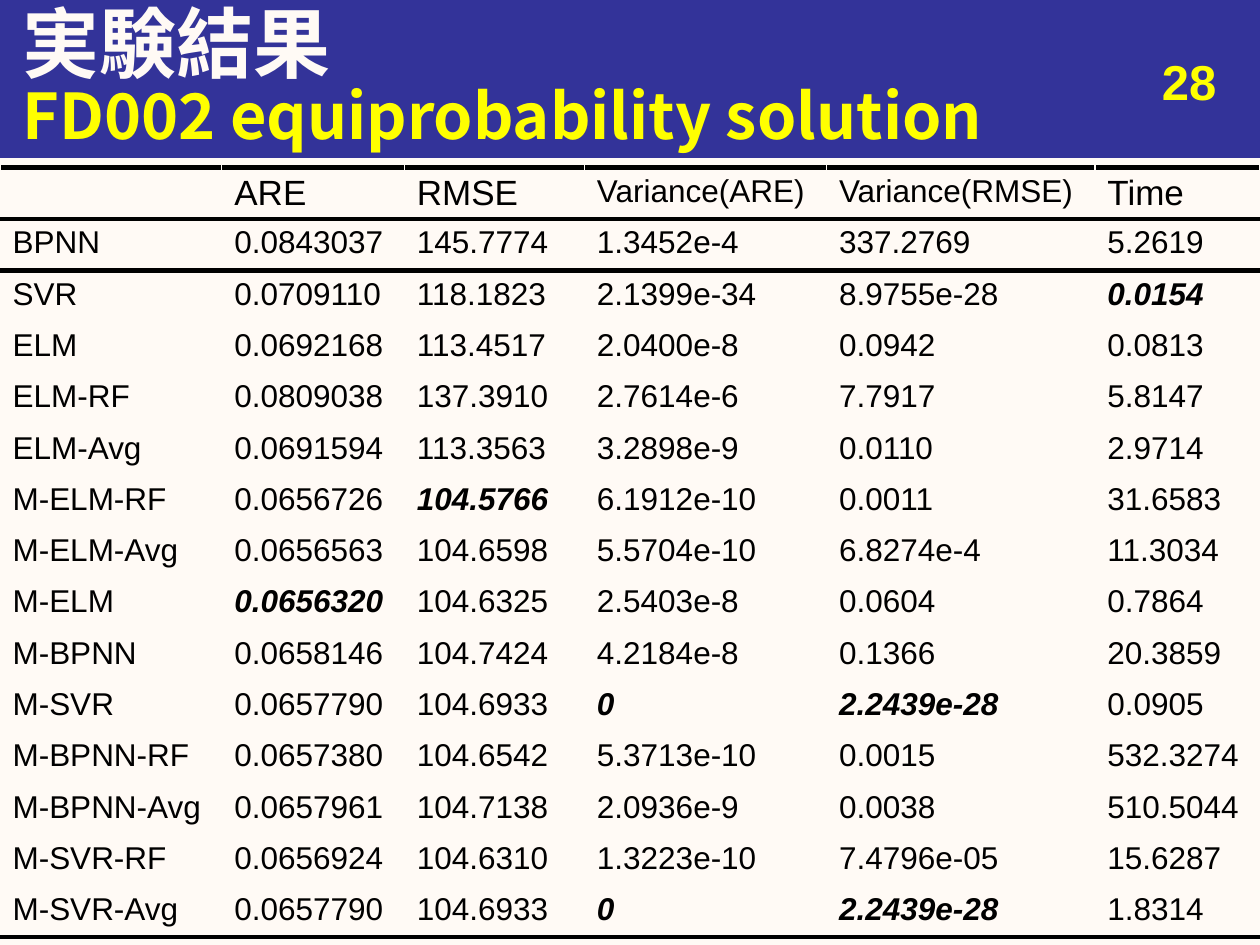
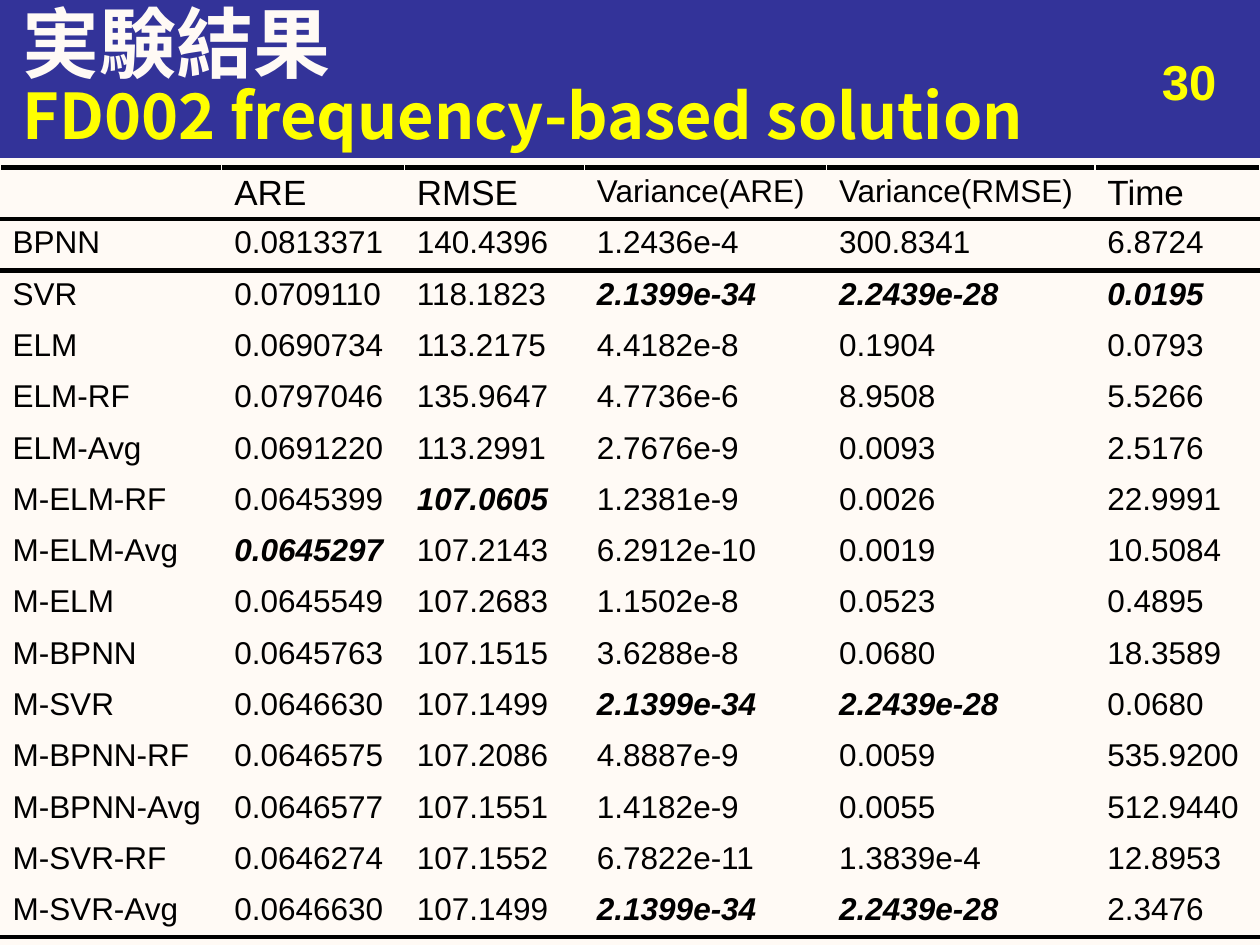
"""Build two result slides with a shared band, title style and ruled table."""
from lxml.etree import SubElement
from pptx import Presentation
from pptx.dml.color import RGBColor
from pptx.enum.shapes import MSO_SHAPE
from pptx.enum.text import MSO_ANCHOR, MSO_AUTO_SIZE, PP_ALIGN
from pptx.oxml.ns import qn
from pptx.util import Cm, Pt

CREAM, NAVY, YELLOW, BLACK = "FFFAF5", "333399", "FFFF00", "000000"
WIDTH = 25.4
COLS = [4.47, 3.68, 3.63, 4.88, 5.41, 3.33]
HEAD = ["", "ARE", "RMSE", "Variance(ARE)", "Variance(RMSE)", "Time"]

# A trailing * marks the best value of a column.
EQUAL = """
BPNN 0.0843037 145.7774 1.3452e-4 337.2769 5.2619
SVR 0.0709110 118.1823 2.1399e-34 8.9755e-28 0.0154*
ELM 0.0692168 113.4517 2.0400e-8 0.0942 0.0813
ELM-RF 0.0809038 137.3910 2.7614e-6 7.7917 5.8147
ELM-Avg 0.0691594 113.3563 3.2898e-9 0.0110 2.9714
M-ELM-RF 0.0656726 104.5766* 6.1912e-10 0.0011 31.6583
M-ELM-Avg 0.0656563 104.6598 5.5704e-10 6.8274e-4 11.3034
M-ELM 0.0656320* 104.6325 2.5403e-8 0.0604 0.7864
M-BPNN 0.0658146 104.7424 4.2184e-8 0.1366 20.3859
M-SVR 0.0657790 104.6933 0* 2.2439e-28* 0.0905
M-BPNN-RF 0.0657380 104.6542 5.3713e-10 0.0015 532.3274
M-BPNN-Avg 0.0657961 104.7138 2.0936e-9 0.0038 510.5044
M-SVR-RF 0.0656924 104.6310 1.3223e-10 7.4796e-05 15.6287
M-SVR-Avg 0.0657790 104.6933 0* 2.2439e-28* 1.8314
"""
FREQ = """
BPNN 0.0813371 140.4396 1.2436e-4 300.8341 6.8724
SVR 0.0709110 118.1823 2.1399e-34* 2.2439e-28* 0.0195*
ELM 0.0690734 113.2175 4.4182e-8 0.1904 0.0793
ELM-RF 0.0797046 135.9647 4.7736e-6 8.9508 5.5266
ELM-Avg 0.0691220 113.2991 2.7676e-9 0.0093 2.5176
M-ELM-RF 0.0645399 107.0605* 1.2381e-9 0.0026 22.9991
M-ELM-Avg 0.0645297* 107.2143 6.2912e-10 0.0019 10.5084
M-ELM 0.0645549 107.2683 1.1502e-8 0.0523 0.4895
M-BPNN 0.0645763 107.1515 3.6288e-8 0.0680 18.3589
M-SVR 0.0646630 107.1499 2.1399e-34* 2.2439e-28* 0.0680
M-BPNN-RF 0.0646575 107.2086 4.8887e-9 0.0059 535.9200
M-BPNN-Avg 0.0646577 107.1551 1.4182e-9 0.0055 512.9440
M-SVR-RF 0.0646274 107.1552 6.7822e-11 1.3839e-4 12.8953
M-SVR-Avg 0.0646630 107.1499 2.1399e-34* 2.2439e-28* 2.3476
"""


def color(code):
    return RGBColor.from_string(code)


def style(para, size, code, bold=False, italic=False, name="Arial"):
    font = para.font
    font.size, font.name = Pt(size), name
    font.bold, font.italic = bold, italic
    font.color.rgb = color(code)


def place(shape, left, top, width, height):
    shape.left, shape.top = Cm(left), Cm(top)
    shape.width, shape.height = Cm(width), Cm(height)


def add_band(deck, slide):
    """Put the background and the title band on the master."""
    master = deck.slide_master
    fill = master.background.fill
    fill.solid()
    fill.fore_color.rgb = color(CREAM)
    band = slide.shapes.add_shape(MSO_SHAPE.RECTANGLE, 0, 0, Cm(WIDTH), Cm(3.18))
    band.shadow.inherit = False
    band.fill.solid()
    band.fill.fore_color.rgb = color(NAVY)
    band.line.color.rgb = color(NAVY)
    band.line.width = Pt(0.75)
    master.shapes.element.insert(2, band.element)


def fill_holder(holder, text, box, size, code, name):
    place(holder, *box)
    frame = holder.text_frame
    frame.text = text
    frame.auto_size = MSO_AUTO_SIZE.NONE
    frame.vertical_anchor = MSO_ANCHOR.MIDDLE
    para = frame.paragraphs[0]
    para.alignment = PP_ALIGN.LEFT
    style(para, size, code, bold=True, name=name)
    return para


def add_heads(slide, topic):
    fill_holder(slide.shapes.title, "実験結果", (0.2, 0, 25.2, 1.7), 44, CREAM, "Arial")
    para = fill_holder(slide.placeholders[1], topic, (0.2, 1.5, 25.2, 1.6),
                       36, YELLOW, "Noto Sans CJK JP")
    props = para._p.get_or_add_pPr()
    props.set("marL", "0")
    props.set("indent", "0")
    props.insert_element_before(props.makeelement(qn("a:buNone")), "a:defRPr")


def add_page(slide, number):
    box = slide.shapes.add_textbox(Cm(18.85), Cm(0.91), Cm(5.92), Cm(1.32))
    box.text_frame.word_wrap = True
    para = box.text_frame.paragraphs[0]
    para.text = str(number)
    para.alignment = PP_ALIGN.RIGHT
    style(para, 28, YELLOW, bold=True)


def add_edge(cell, side, thick):
    code, width = (BLACK, 3) if thick else (CREAM, 1)
    line = SubElement(cell._tc.get_or_add_tcPr(), qn(f"a:ln{side}"), w=str(Pt(width)))
    SubElement(SubElement(line, qn("a:solidFill")), qn("a:srgbClr"), val=code)


def fill_cell(cell, text, size, above, below):
    cell.margin_bottom = Cm(0.05)
    for side, thick in (("L", False), ("R", False), ("T", above), ("B", below)):
        add_edge(cell, side, thick)
    cell.fill.background()
    best = text.endswith("*")
    cell.text = text.rstrip("*")
    style(cell.text_frame.paragraphs[0], size, BLACK, bold=best, italic=best)


def add_grid(slide, data):
    rows = [HEAD] + [line.split() for line in data.strip().splitlines()]
    count = len(rows)
    rules = {0, 1, 2, count}
    table = slide.shapes.add_table(count, len(COLS), 0, Cm(3.38),
                                   Cm(WIDTH), Cm(15.52)).table
    table.first_row = table.horz_banding = False
    for col, width in zip(table.columns, COLS):
        col.width = Cm(width)
    for r, row in enumerate(rows):
        table.rows[r].height = Cm(15.52 / count)
        for c, text in enumerate(row):
            size = 20 if r == 0 and not text.startswith("Var") else 18
            fill_cell(table.cell(r, c), text, size, r in rules, r + 1 in rules)


def main():
    deck = Presentation()
    deck.slide_width, deck.slide_height = Cm(WIDTH), Cm(19.05)
    pages = [(28, "FD002 equiprobability solution", EQUAL),
             (30, "FD002 frequency-based solution", FREQ)]
    for number, topic, data in pages:
        slide = deck.slides.add_slide(deck.slide_layouts[1])
        if number == pages[0][0]:
            add_band(deck, slide)
        add_heads(slide, topic)
        add_grid(slide, data)
        add_page(slide, number)
    deck.save("out.pptx")


if __name__ == "__main__":
    main()
